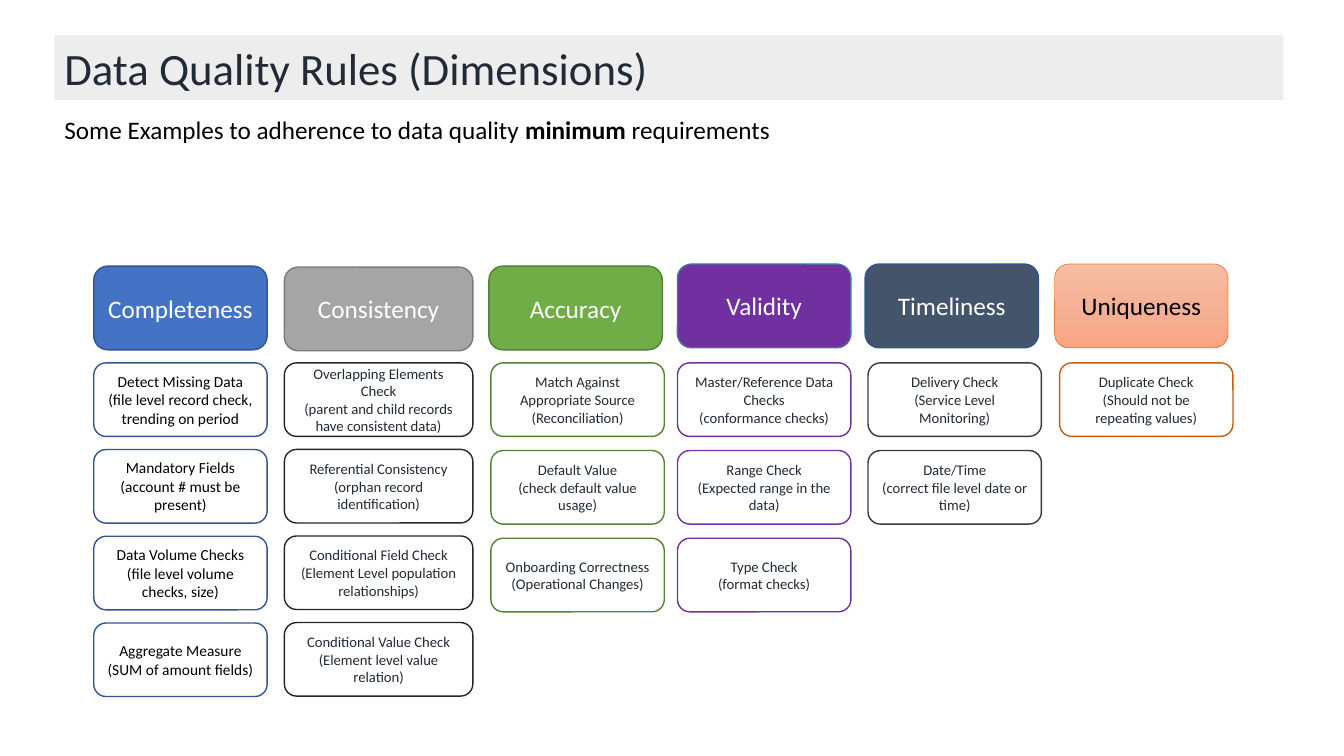
from copy import deepcopy
from dataclasses import dataclass
from typing import Optional

from pptx import Presentation
from pptx.dml.color import RGBColor
from pptx.enum.shapes import MSO_SHAPE as Preset
from pptx.enum.text import MSO_ANCHOR as Anchor, MSO_AUTO_SIZE as AutoSize, PP_ALIGN as Align
from pptx.oxml.ns import qn
from pptx.util import Inches, Pt


@dataclass(frozen=True)
class Theme:
    font: str = "Calibri"
    title_size: float = 32
    heading_size: float = 18
    card_size: float = 10.5
    first_card_size: float = 11
    outline: float = 1
    thin_outline: float = 0.5
    ink: str = "222A35"
    black: str = "000000"
    white: str = "FFFFFF"
    band: str = "EDEDED"
    blue: str = "4472C4"
    dark_blue: str = "325491"
    grey: str = "A5A5A5"
    dark_grey: str = "7A7A7A"
    charcoal: str = "262626"
    green: str = "70AD47"
    dark_green: str = "538035"
    card_green: str = "548235"
    purple: str = "7030A0"
    steel: str = "43739E"
    slate: str = "44546A"
    umber: str = "3B3838"
    orange: str = "ED7D31"
    rust: str = "C55A11"
    peach: tuple[str, ...] = ("F7BDA5", "F5B196", "F8A582")


THEME = Theme()


# Positions and sizes are percentages of the slide's width and height
@dataclass(frozen=True)
class Area:
    left: float
    top: float
    width: float
    height: float


@dataclass(frozen=True)
class Style:
    fill: tuple[str, ...]  # none, one colour, or gradient stops from top to bottom
    outline: Optional[str]
    text: str
    size: float
    outline_width: float = THEME.outline


@dataclass(frozen=True)
class Dimension:
    name: str
    head_left: float
    head_top: float
    card_left: float
    head: Style
    card: Style
    checks: tuple[tuple[str, str], ...]
    width: float = 12.9
    pitch: float = 11.6


HEAD_HEIGHT, CARD_HEIGHT, CARDS_TOP = 11.07, 9.73, 48
TITLE = Area(4.05, 4.67, 91.45, 8.53)
SUBTITLE = Area(4.05, 14.4, 91.45, 5.33)


def head_style(fill: str, outline: str) -> Style:
    return Style((fill,), outline, THEME.white, THEME.heading_size)


def card_style(outline: str, fill: tuple[str, ...] = ()) -> Style:
    return Style(fill, outline, THEME.ink, THEME.card_size)


DIMENSIONS = (
    Dimension(
        "Completeness", 6.98, 35.2, 6.98,
        head_style(THEME.blue, THEME.dark_blue),
        Style((), THEME.dark_blue, THEME.black, THEME.first_card_size),
        (("Detect Missing Data", "(file level record check, trending on period"),
         ("Mandatory Fields", "(account # must be present)"),
         ("Data Volume Checks", "(file level volume checks, size)"),
         ("Aggregate Measure", "(SUM of amount fields)")),
        pitch=11.47),
    Dimension(
        "Consistency", 21.16, 35.33, 21.16,
        head_style(THEME.grey, THEME.dark_grey),
        card_style(THEME.charcoal, (THEME.white,)),
        (("Overlapping Elements Check", "(parent and child records have consistent data)"),
         ("Referential Consistency", "(orphan record identification)"),
         ("Conditional Field Check", "(Element Level population relationships)"),
         ("Conditional Value Check", "(Element level value relation)")),
        width=14.03, pitch=11.45),
    Dimension(
        "Accuracy", 36.38, 35.2, 36.53,
        head_style(THEME.green, THEME.dark_green),
        card_style(THEME.card_green),
        (("Match Against Appropriate Source", "(Reconciliation)"),
         ("Default Value", "(check default value usage)"),
         ("Onboarding Correctness", "(Operational Changes)"))),
    Dimension(
        "Validity", 50.41, 34.93, 50.41,
        head_style(THEME.purple, THEME.steel),
        card_style(THEME.purple),
        (("Master/Reference Data Checks", "(conformance checks)"),
         ("Range Check", "(Expected range in the data)"),
         ("Type Check", "(format checks)"))),
    Dimension(
        "Timeliness", 64.37, 34.93, 64.59,
        head_style(THEME.slate, THEME.dark_blue),
        card_style(THEME.umber),
        (("Delivery Check", "(Service Level Monitoring)"),
         ("Date/Time", "(correct file level date or time)"))),
    Dimension(
        "Uniqueness", 78.47, 34.93, 78.84,
        Style(THEME.peach, THEME.orange, THEME.black, THEME.heading_size, THEME.thin_outline),
        card_style(THEME.rust),
        (("Duplicate Check", "(Should not be repeating values)"),)),
)

deck = Presentation()
deck.slide_width, deck.slide_height = Inches(13.33), Inches(7.5)
slide = deck.slides.add_slide(deck.slide_layouts[6])


def place(area: Area) -> tuple[int, int, int, int]:
    across, down = deck.slide_width / 100, deck.slide_height / 100
    return (round(area.left * across), round(area.top * down),
            round(area.width * across), round(area.height * down))


def set_font(paragraph, size: float, colour: str) -> None:
    font = paragraph.font
    font.name, font.size = THEME.font, Pt(size)
    font.color.rgb = RGBColor.from_string(colour)


def paint(shape, colours: tuple[str, ...]) -> None:
    fill = shape.fill
    if not colours:
        fill.background()
    elif len(colours) == 1:
        fill.solid()
        fill.fore_color.rgb = RGBColor.from_string(colours[0])
    else:
        fill.gradient()
        fill.gradient_angle = 270
        stop_list = shape._element.spPr.find(qn("a:gradFill")).find(qn("a:gsLst"))
        while len(stop_list) < len(colours):
            stop_list.append(deepcopy(stop_list[0]))
        for index, (stop, colour) in enumerate(zip(fill.gradient_stops, colours)):
            stop.position = index / (len(colours) - 1)
            stop.color.rgb = RGBColor.from_string(colour)


def draw_box(preset: Preset, area: Area, style: Style, lines: tuple[str, ...],
             align: Align = Align.CENTER, anchor: Anchor = Anchor.MIDDLE):
    box = slide.shapes.add_shape(preset, *place(area))
    box.shadow.inherit = False
    paint(box, style.fill)
    if style.outline:
        box.line.color.rgb = RGBColor.from_string(style.outline)
        box.line.width = Pt(style.outline_width)
    else:
        box.line.fill.background()
    frame = box.text_frame
    frame.word_wrap, frame.vertical_anchor = True, anchor
    frame.text = "\n".join(lines)
    for paragraph in frame.paragraphs:
        paragraph.alignment = align
        set_font(paragraph, style.size, style.text)
    return box


def draw_subtitle() -> None:
    frame = slide.shapes.add_textbox(*place(SUBTITLE)).text_frame
    frame.word_wrap, frame.auto_size = True, AutoSize.SHAPE_TO_FIT_TEXT
    sentence = frame.paragraphs[0]
    set_font(sentence, THEME.heading_size, THEME.black)
    sentence.add_run().text = "Some Examples to adherence to data quality "
    emphasis = sentence.add_run()
    emphasis.text, emphasis.font.bold = "minimum", True
    sentence.add_run().text = " requirements"


def draw_dimension(dimension: Dimension) -> None:
    heading = Area(dimension.head_left, dimension.head_top, dimension.width, HEAD_HEIGHT)
    draw_box(Preset.ROUNDED_RECTANGLE, heading, dimension.head, (dimension.name,))
    for row, check in enumerate(dimension.checks):
        card = Area(dimension.card_left, CARDS_TOP + row * dimension.pitch,
                    dimension.width, CARD_HEIGHT)
        draw_box(Preset.ROUNDED_RECTANGLE, card, dimension.card, check)


# Title band and introduction
title = draw_box(Preset.RECTANGLE, TITLE,
                 Style((THEME.band,), None, THEME.ink, THEME.title_size),
                 ("Data Quality Rules (Dimensions)",), Align.LEFT, Anchor.TOP)
title.text_frame.auto_size = AutoSize.SHAPE_TO_FIT_TEXT
draw_subtitle()

# One column of checks per dimension
for dimension in DIMENSIONS:
    draw_dimension(dimension)

deck.save("out.pptx")
